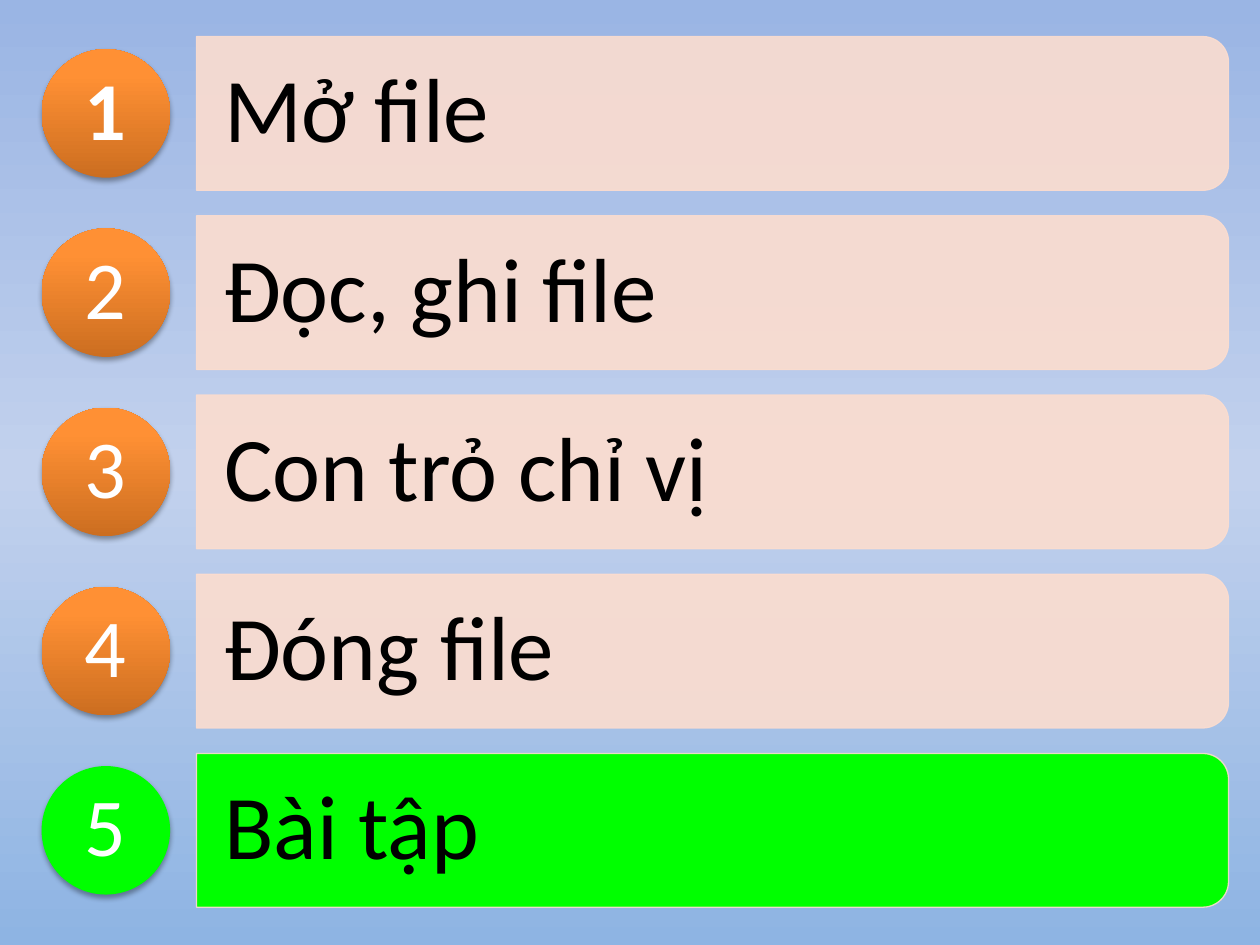
from lxml import etree
from pptx import Presentation
from pptx.dml.color import RGBColor
from pptx.enum.shapes import MSO_SHAPE
from pptx.enum.text import MSO_ANCHOR, PP_ALIGN
from pptx.oxml.ns import qn
from pptx.util import Inches, Pt

BAR_SHAPE = MSO_SHAPE.ROUND_2_SAME_RECTANGLE
CIRCLE_SHAPE = MSO_SHAPE.OVAL
MIDDLE = MSO_ANCHOR.MIDDLE
LEFT, CENTER = PP_ALIGN.LEFT, PP_ALIGN.CENTER

TOPICS = ["Mở file", "Đọc, ghi file", "Con trỏ chỉ vị", "Đóng file", "Bài tập"]
CURRENT_TOPIC = 5
PEACH, GREEN, BLACK, WHITE = "FCDDCF", "00FF00", "000000", "FFFFFF"
SKY = [(0, "9AB5E4"), (50, "C2D1ED"), (100, "8EB4E3")]
ORANGE = [(0, "CC6E20"), (80, "FF9034"), (100, "FF9136")]

FIRST_CENTER, ROW_PITCH = 0.9, 1.4225
BAR_LEFT, BAR_LENGTH, BAR_HEIGHT = 1.56, 8.19, 1.22
LABEL_WIDTH, LABEL_HEIGHT = 8.13, 1.1
CIRCLE_LEFT, CIRCLE_SIZE, NUMBER_SIZE = 0.33, 1.02, 0.72


def color(hex_text):
    """Turn a hex string into a colour."""
    return RGBColor.from_string(hex_text)


def add_xml(parent, tag, **attributes):
    """Append a DrawingML element with the given attributes."""
    values = {name: str(value) for name, value in attributes.items()}
    return etree.SubElement(parent, qn(tag), values)


def set_solid(fill, hex_text, opacity=100):
    """Give a fill one colour, partly transparent if asked."""
    fill.solid()
    fill.fore_color.rgb = color(hex_text)
    if opacity < 100:
        choice = fill._xPr.find(qn("a:solidFill"))[0]
        add_xml(choice, "a:alpha", val=opacity * 1000)


def set_gradient(owner, fill, stops, angle):
    """Give the owner's fill a linear gradient, angle in clockwise degrees."""
    fill.gradient()
    gradient = next(owner.element.iter(qn("a:gradFill")))
    for child in list(gradient):
        gradient.remove(child)
    stop_list = add_xml(gradient, "a:gsLst")
    for position, hex_text in stops:
        stop = add_xml(stop_list, "a:gs", pos=position * 1000)
        add_xml(stop, "a:srgbClr", val=hex_text)
    add_xml(gradient, "a:lin", ang=angle * 60000, scaled=0)


def add_shadow(shape):
    """Add a soft shadow just below the shape."""
    effects = shape.element.spPr.find(qn("a:effectLst"))
    shadow = add_xml(effects, "a:outerShdw", blurRad=Pt(3.1), dist=Pt(1.8),
                     dir=90 * 60000, rotWithShape=0)
    shade = add_xml(shadow, "a:srgbClr", val=BLACK)
    add_xml(shade, "a:alpha", val=35000)


def add_text(slide, box, text, size, hex_text, alignment, insets, bold=False):
    """Add one vertically centred line of text."""
    shape = slide.shapes.add_textbox(*map(Inches, box))
    frame = shape.text_frame
    frame.word_wrap = True
    frame.vertical_anchor = MIDDLE
    frame.margin_left = frame.margin_right = Inches(insets[0])
    frame.margin_top = frame.margin_bottom = Inches(insets[1])
    paragraph = frame.paragraphs[0]
    paragraph.alignment = alignment
    paragraph.line_spacing = 0.9
    run = paragraph.add_run()
    run.text = text
    run.font.name = "Calibri"
    run.font.size = Pt(size)
    run.font.bold = bold
    run.font.color.rgb = color(hex_text)


def add_bar(slide, center, current):
    """Add a bar rounded at its right end: an upright shape turned by 90 degrees."""
    left = BAR_LEFT + (BAR_LENGTH - BAR_HEIGHT) / 2
    top = center - BAR_LENGTH / 2
    bar = slide.shapes.add_shape(
        BAR_SHAPE, *map(Inches, (left, top, BAR_HEIGHT, BAR_LENGTH)))
    bar.rotation = 90
    bar.shadow.inherit = False
    if current:
        set_solid(bar.fill, GREEN)
    else:
        set_solid(bar.fill, PEACH, 90)
    bar.line.width = Pt(0.75)
    set_solid(bar.line.fill, PEACH, 90)


def add_circle(slide, center, current):
    """Add the round badge behind a number."""
    box = (CIRCLE_LEFT, center - CIRCLE_SIZE / 2, CIRCLE_SIZE, CIRCLE_SIZE)
    circle = slide.shapes.add_shape(CIRCLE_SHAPE, *map(Inches, box))
    circle.shadow.inherit = False
    circle.line.fill.background()
    if current:
        set_solid(circle.fill, GREEN)
    else:
        set_gradient(circle, circle.fill, ORANGE, 270)
    add_shadow(circle)


def add_topic(slide, number, topic):
    """Add one agenda row: bar, label, badge and number."""
    center = FIRST_CENTER + (number - 1) * ROW_PITCH
    current = number == CURRENT_TOPIC
    add_bar(slide, center, current)
    label_box = (BAR_LEFT, center - LABEL_HEIGHT / 2, LABEL_WIDTH, LABEL_HEIGHT)
    add_text(slide, label_box, topic, 52, BLACK, LEFT, (0.22, 0.14))
    add_circle(slide, center, current)
    number_left = CIRCLE_LEFT + (CIRCLE_SIZE - NUMBER_SIZE) / 2
    number_box = (number_left, center - NUMBER_SIZE / 2, NUMBER_SIZE, NUMBER_SIZE)
    add_text(slide, number_box, str(number), 47, WHITE, CENTER, (0, 0),
             bold=number == 1)


def main():
    """Build the agenda slide."""
    presentation = Presentation()
    presentation.slide_width = Inches(10)
    presentation.slide_height = Inches(7.5)
    slide = presentation.slides.add_slide(presentation.slide_layouts[6])
    set_gradient(slide, slide.background.fill, SKY, 90)
    for number, topic in enumerate(TOPICS, start=1):
        add_topic(slide, number, topic)
    presentation.save("out.pptx")


main()
